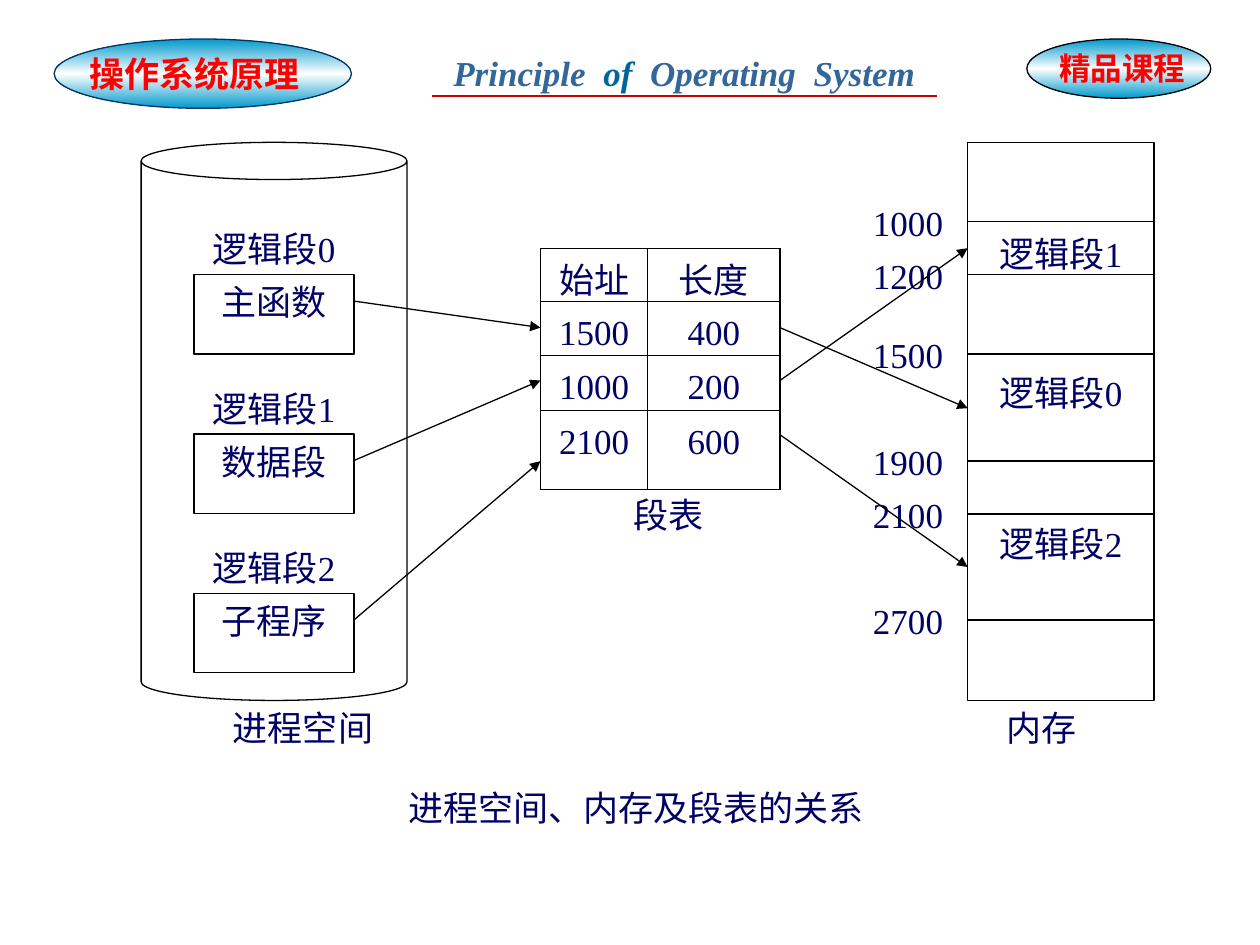
"""Build the slide relating process space, segment table and memory."""
from copy import deepcopy
from dataclasses import dataclass

from lxml import etree
from pptx import Presentation
from pptx.dml.color import RGBColor
from pptx.enum.shapes import MSO_CONNECTOR, MSO_SHAPE
from pptx.enum.text import MSO_ANCHOR, MSO_AUTO_SIZE, PP_ALIGN
from pptx.oxml.ns import qn
from pptx.util import Inches, Pt

STRAIGHT = MSO_CONNECTOR.STRAIGHT
CAN, OVAL, RECTANGLE = MSO_SHAPE.CAN, MSO_SHAPE.OVAL, MSO_SHAPE.RECTANGLE
LEFT, CENTER = PP_ALIGN.LEFT, PP_ALIGN.CENTER
TOP, NO_FIT = MSO_ANCHOR.TOP, MSO_AUTO_SIZE.NONE


@dataclass(frozen=True)
class Theme:
    """Colours, fonts and sizes of the slide."""
    ink: str = "000066"
    line: str = "000000"
    badge: str = "0099CC"
    badge_middle: str = "FFFFFF"
    badge_edge: str = "003366"
    badge_text: str = "FF0000"
    course: str = "336699"
    course_accent: str = "006699"
    rule: str = "CC0000"
    serif: str = "Times New Roman"
    sans: str = "Arial"
    size: float = 20
    small: float = 18
    thin: float = 0.75


@dataclass(frozen=True)
class Box:
    """A rectangle in inches."""
    left: float
    top: float
    width: float
    height: float

    def lengths(self) -> list:
        """Return the four values as lengths."""
        return [Inches(v) for v in (self.left, self.top, self.width, self.height)]


@dataclass(frozen=True)
class Segment:
    """A logical segment, its table entry and its place in memory."""
    label: str
    content: str
    start: str
    length: str
    entry_in: float
    entry_out: float
    memory_arrow: float
    memory_label: float


THEME = Theme()
SEGMENTS = (
    Segment("逻辑段0", "主函数", "1500", "400", 2.6, 2.6, 3.24, 2.9),
    Segment("逻辑段1", "数据段", "1000", "200", 3.02, 3.02, 1.97, 1.8),
    Segment("逻辑段2", "子程序", "2100", "600", 3.66, 3.45, 4.5, 4.1),
)
ADDRESSES = {"1000": 1.76, "1200": 2.18, "1500": 2.81,
             "1900": 3.66, "2100": 4.08, "2700": 4.92}
PROCESS = Box(1.12, 1.13, 2.11, 4.43)
MEMORY = Box(7.68, 1.13, 1.48, 4.43)
TABLE = Box(4.29, 1.97, 1.9, 1.9)
COLUMN_WIDTHS = (0.85, 1.05)
ROW_HEIGHTS = (0.42, 0.42, 0.43, 0.63)
SEGMENT_LEFT, SEGMENT_TOP, SEGMENT_STEP = 1.54, 2.18, 1.265
SEGMENT_WIDTH, LABEL_HEIGHT = 1.27, 0.63


def style_font(font, color: str = THEME.ink, size: float = THEME.size,
               name: str = THEME.serif, bold: bool = False) -> None:
    """Format a font."""
    font.name, font.size, font.bold = name, Pt(size), bold
    font.color.rgb = RGBColor.from_string(color)


def write(frame, text: str, align=LEFT, **font) -> None:
    """Fill a text frame with one formatted line."""
    frame.text = text
    frame.word_wrap = True
    frame.auto_size = NO_FIT
    frame.vertical_anchor = TOP
    paragraph = frame.paragraphs[0]
    paragraph.alignment = align
    style_font(paragraph.runs[0].font, **font)


def add_label(slide, box: Box, text: str, align=LEFT, **font) -> None:
    """Add a text box with one line."""
    write(slide.shapes.add_textbox(*box.lengths()).text_frame, text, align, **font)


def add_outline(slide, preset, box: Box, color: str = THEME.line):
    """Add an unfilled preset shape with a thin line."""
    shape = slide.shapes.add_shape(preset, *box.lengths())
    shape.shadow.inherit = False
    shape.fill.background()
    shape.line.color.rgb = RGBColor.from_string(color)
    shape.line.width = Pt(THEME.thin)
    return shape


def add_line(slide, start: tuple, end: tuple, color: str = THEME.line,
             width: float = THEME.thin, arrow: bool = False) -> None:
    """Add a straight line, with an arrowhead at its end if asked."""
    connector = slide.shapes.add_connector(
        STRAIGHT, *(Inches(v) for v in (*start, *end)))
    connector.line.color.rgb = RGBColor.from_string(color)
    connector.line.width = Pt(width)
    properties = connector._element.spPr
    if arrow:
        etree.SubElement(properties.find(qn("a:ln")), qn("a:tailEnd"), type="triangle")
    etree.SubElement(properties, qn("a:effectLst"))


def add_badge(slide, box: Box, edge: str) -> None:
    """Add an ellipse shaded from its edges to a pale middle."""
    fill = add_outline(slide, OVAL, box, edge).fill
    fill.gradient()
    fill.gradient_angle = 90
    stops = slide.shapes[-1]._element.spPr.find(".//" + qn("a:gsLst"))
    stops.append(deepcopy(stops[0]))
    colors = (THEME.badge, THEME.badge_middle, THEME.badge)
    for index, (stop, color) in enumerate(zip(fill.gradient_stops, colors)):
        stop.position = index / 2
        stop.color.rgb = RGBColor.from_string(color)


def add_header(slide) -> None:
    """Add the course banner."""
    add_badge(slide, Box(0.43, 0.31, 2.36, 0.55), THEME.badge_edge)
    add_label(slide, Box(0.61, 0.37, 1.95, 0.44), "操作系统原理",
              color=THEME.badge_text, bold=True)
    add_badge(slide, Box(8.15, 0.31, 1.46, 0.47), THEME.line)
    add_label(slide, Box(8.31, 0.34, 1.38, 0.4), "精品课程", color=THEME.badge_text,
              size=THEME.small, name=THEME.sans, bold=True)
    course = slide.shapes.add_textbox(*Box(3.5, 0.36, 3.93, 0.44).lengths())
    paragraph = course.text_frame.paragraphs[0]
    for part in ("Principle", " ", "of", " ", "Operating", " ", "System"):
        run = paragraph.add_run()
        run.text = part
        style_font(run.font, THEME.course_accent if part == "of" else THEME.course,
                   bold=True)
        run.font.italic = True
        if part == " ":
            run.font._element.set("spc", "500")
    add_line(slide, (3.43, 0.76), (7.44, 0.76), THEME.rule, 1)


def add_borders(cell) -> None:
    """Give a cell four thin borders."""
    properties = cell._tc.get_or_add_tcPr()
    for index, side in enumerate(("lnL", "lnR", "lnT", "lnB")):
        border = etree.Element(qn("a:" + side), w=str(Pt(THEME.thin)))
        fill = etree.SubElement(border, qn("a:solidFill"))
        etree.SubElement(fill, qn("a:srgbClr"), val=THEME.line)
        properties.insert(index, border)


def add_segment_table(slide) -> None:
    """Add the table of start addresses and lengths."""
    rows = [("始址", "长度")] + [(s.start, s.length) for s in SEGMENTS]
    table = slide.shapes.add_table(len(rows), 2, *TABLE.lengths()).table
    table.first_row = table.horz_banding = False
    for column, width in zip(table.columns, COLUMN_WIDTHS):
        column.width = Inches(width)
    for index, (values, height) in enumerate(zip(rows, ROW_HEIGHTS)):
        table.rows[index].height = Inches(height)
        for cell, value in zip(table.rows[index].cells, values):
            cell.margin_left = cell.margin_right = cell.margin_bottom = 0
            cell.margin_top = Inches(0.1 if index else 0.04)
            cell.fill.background()
            add_borders(cell)
            cell.text = value
            paragraph = cell.text_frame.paragraphs[0]
            paragraph.alignment = CENTER
            style_font(paragraph.runs[0].font)


def add_segment(slide, index: int, segment: Segment) -> None:
    """Add a segment in process space and memory with its arrows."""
    top = SEGMENT_TOP + index * SEGMENT_STEP
    box = Box(SEGMENT_LEFT, top, SEGMENT_WIDTH, LABEL_HEIGHT)
    write(add_outline(slide, RECTANGLE, box).text_frame, segment.content, CENTER)
    add_label(slide, Box(box.left, top - 0.42, box.width, box.height),
              segment.label, CENTER)
    add_label(slide, Box(MEMORY.left, segment.memory_label, MEMORY.width, LABEL_HEIGHT),
              segment.label, CENTER)
    add_line(slide, (box.left + box.width, top + 0.21),
             (TABLE.left, segment.entry_in), arrow=True)
    add_line(slide, (TABLE.left + TABLE.width, segment.entry_out),
             (MEMORY.left, segment.memory_arrow), arrow=True)


def main() -> None:
    """Build and save the slide."""
    deck = Presentation()
    deck.slide_width, deck.slide_height = Inches(10), Inches(7.5)
    slide = deck.slides.add_slide(deck.slide_layouts[5])
    title = slide.shapes.title
    title.left, title.top, title.width, title.height = Box(3.14, 6.19, 4.02, 0.63).lengths()
    write(title.text_frame, "进程空间、内存及段表的关系")
    add_header(slide)
    add_outline(slide, CAN, PROCESS).adjustments[0] = 0.14
    add_outline(slide, RECTANGLE, MEMORY)
    for address, y in ADDRESSES.items():
        add_line(slide, (MEMORY.left, y), (MEMORY.left + MEMORY.width, y))
        add_label(slide, Box(6.83, y - 0.21, 0.85, LABEL_HEIGHT), address)
    add_segment_table(slide)
    for index, segment in enumerate(SEGMENTS):
        add_segment(slide, index, segment)
    for name, left, top, width in (("进程空间", 1.75, 5.56, 2.11),
                                   ("段表", 4.93, 3.87, 0.85), ("内存", 7.89, 5.56, 0.85)):
        add_label(slide, Box(left, top, width, LABEL_HEIGHT), name)
    deck.save("out.pptx")


if __name__ == "__main__":
    main()
